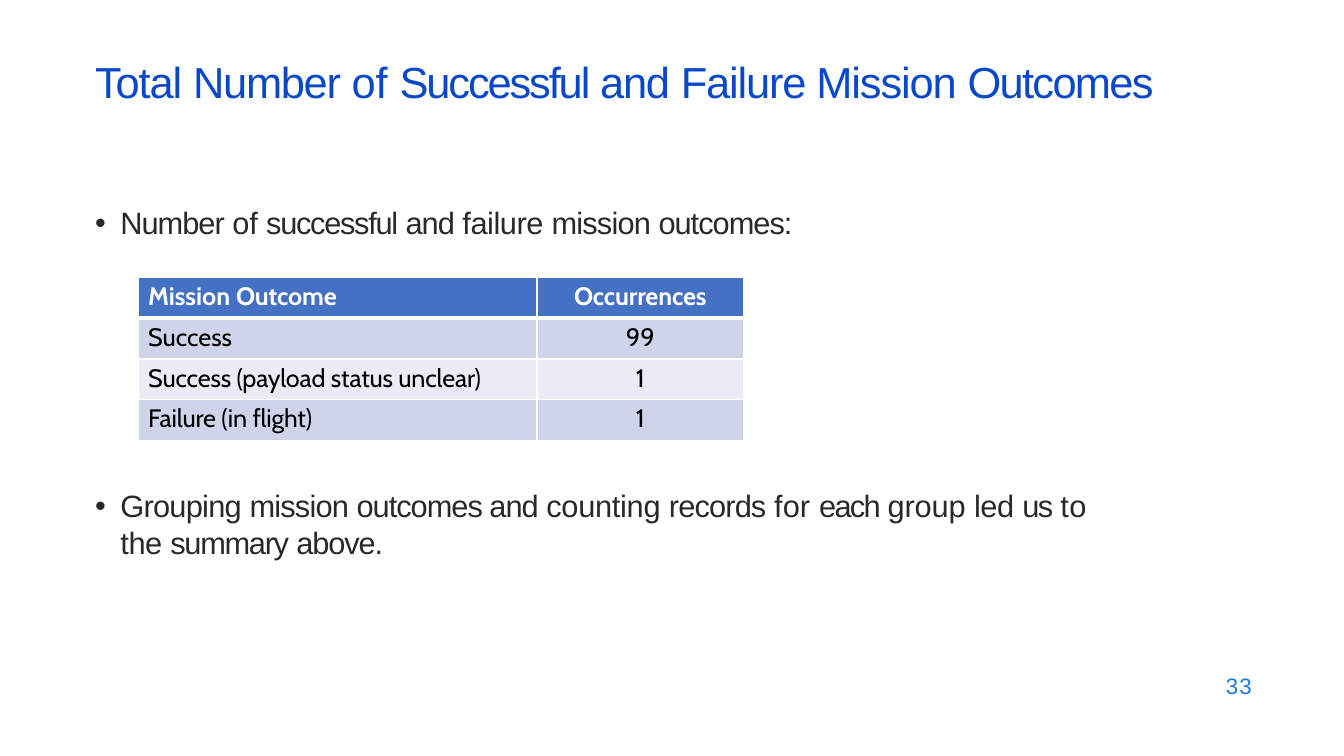
from lxml import etree
from pptx import Presentation
from pptx.dml.color import RGBColor
from pptx.enum.text import MSO_ANCHOR, MSO_AUTO_SIZE, PP_ALIGN
from pptx.oxml.ns import qn
from pptx.util import Pt

LEFT, CENTER = PP_ALIGN.LEFT, PP_ALIGN.CENTER
TOP = MSO_ANCHOR.TOP
GROW = MSO_AUTO_SIZE.SHAPE_TO_FIT_TEXT
TITLE_ONLY = 5

TITLE_BLUE = RGBColor(0x0A, 0x48, 0xCA)
NUMBER_BLUE = RGBColor(0x1C, 0x7C, 0xDB)
HEADER_BLUE = RGBColor(0x44, 0x71, 0xC4)
BAND_DARK = RGBColor(0xCF, 0xD4, 0xEA)
BAND_LIGHT = RGBColor(0xE9, 0xEB, 0xF5)
BODY_GREY = RGBColor(0x29, 0x29, 0x29)
BLACK = RGBColor(0, 0, 0)
WHITE = RGBColor(0xFF, 0xFF, 0xFF)

TITLE = [("Total ", -0.8), ("Number ", -0.9), ("of ", -0.1), ("Successful ", -1.5),
         ("and ", -0.9), ("Failure Mission ", -0.8), ("Outcomes", -1.2)]
INTRO = [("Number ", -0.7), ("of ", -0.1), ("successful ", -0.9), ("and ", -0.7),
         ("failure ", -0.3), ("mission ", -0.6), ("outcomes:", -0.7)]
EXPLANATION = [("Grouping ", -0.5), ("mission ", -0.6), ("outcomes and ", -0.7),
               ("counting ", -0.2), ("records ", -0.6), ("for ", 0.1), ("each ", -1.2),
               ("group ", -0.1), ("led ", -0.3), ("us ", -1.1), ("to ", 0.5),
               ("the ", -0.3), ("summary ", -0.9), ("above.", -0.8)]
OUTCOMES = [
    ([("Mission ", 0), ("Outcome", -0.1)], [("Occurrences", -0.1)]),
    ([("Success", 0)], [("99", 0.1)]),
    ([("Success (payload status unclear)", -0.1)], [("1", 0)]),
    ([("Failure (in flight)", -0.1)], [("1", 0)]),
]


class SlideBuilder:
    """Holds the text style and the current slide, and adds its elements."""

    def __init__(self, slide, font="Arial", table_font="Cabin"):
        self.slide = slide
        self.font = font
        self.table_font = table_font

    def add_runs(self, paragraph, runs, size, color, font=None, bold=False):
        for text, spacing in runs:
            run = paragraph.add_run()
            run.text = text
            run.font.size = Pt(size)
            run.font.name = font or self.font
            run.font.bold = bold
            run.font.color.rgb = color
            run._r.get_or_add_rPr().set("spc", str(round(spacing * 100)))

    def frame(self, shape, box, inset_top):
        shape.left, shape.top, shape.width, shape.height = map(Pt, box)
        frame = shape.text_frame
        frame.word_wrap = True
        frame.auto_size = GROW
        frame.vertical_anchor = TOP
        frame.margin_left = frame.margin_right = frame.margin_bottom = 0
        frame.margin_top = Pt(inset_top)
        paragraph = frame.paragraphs[0]
        paragraph.alignment = LEFT
        return paragraph

    def indent(self, paragraph, left, first=0):
        properties = paragraph._p.get_or_add_pPr()
        properties.set("marL", str(Pt(left)))
        properties.set("indent", str(Pt(first)))
        return properties

    def title(self, runs, box):
        paragraph = self.frame(self.slide.shapes.title, box, 1)
        self.indent(paragraph, 0.9)
        self.add_runs(paragraph, runs, 31, TITLE_BLUE)

    def bullet(self, runs, box):
        textbox = self.slide.shapes.add_textbox(0, 0, 0, 0)
        paragraph = self.frame(textbox, box, 1)
        properties = self.indent(paragraph, 19, -18)
        etree.SubElement(properties, qn("a:buFont"), typeface=self.font)
        etree.SubElement(properties, qn("a:buChar"), char="•")
        self.add_runs(paragraph, runs, 22, BODY_GREY)

    def page_number(self, number, box):
        textbox = self.slide.shapes.add_textbox(0, 0, 0, 0)
        paragraph = self.frame(textbox, box, 0)
        self.indent(paragraph, 3)
        paragraph.line_spacing = Pt(18.4)
        self.add_runs(paragraph, [(number, 0.8)], 16, NUMBER_BLUE)

    def borders(self, cell, widths):
        properties = cell._tc.get_or_add_tcPr()
        for side, width in widths.items():
            line = etree.SubElement(properties, qn(f"a:ln{side}"), w=str(Pt(width)))
            fill = etree.SubElement(line, qn("a:solidFill"))
            etree.SubElement(fill, qn("a:srgbClr"), val=str(WHITE))

    def table(self, rows, left, top, column_widths, row_height):
        table = self.slide.shapes.add_table(
            len(rows), len(column_widths), Pt(left), Pt(top),
            Pt(sum(column_widths)), Pt(row_height * len(rows))).table
        table.horz_banding = False
        for column, width in zip(table.columns, column_widths):
            column.width = Pt(width)
        for row_index, row in enumerate(rows):
            table.rows[row_index].height = Pt(row_height)
            header = row_index == 0
            band = BAND_DARK if row_index % 2 else BAND_LIGHT
            for column_index, runs in enumerate(row):
                cell = table.cell(row_index, column_index)
                self.borders(cell, {"L": 1, "R": 1, "T": 3 if row_index == 1 else 1,
                                    "B": 3 if header else 1})
                cell.fill.solid()
                cell.fill.fore_color.rgb = HEADER_BLUE if header else band
                cell.margin_left = cell.margin_right = cell.margin_bottom = 0
                cell.margin_top = Pt(2.7)
                paragraph = cell.text_frame.paragraphs[0]
                paragraph.alignment = CENTER if column_index else LEFT
                if column_index == 0:
                    self.indent(paragraph, 7.2)
                self.add_runs(paragraph, runs, 18, WHITE if header else BLACK,
                              self.table_font, header)


def main():
    presentation = Presentation()
    presentation.slide_width, presentation.slide_height = Pt(960), Pt(540)
    slide = presentation.slides.add_slide(presentation.slide_layouts[TITLE_ONLY])
    builder = SlideBuilder(slide)
    builder.title(TITLE, (67, 38.2, 770.4, 39.6))
    builder.bullet(INTRO, (67, 144.7, 504.7, 28))
    builder.table(OUTCOMES, 98.6, 198, (285, 147.6), 29.2)
    builder.bullet(EXPLANATION, (67, 347, 720.7, 54.7))
    builder.page_number("33", (872.6, 481, 25.2, 20.2))
    presentation.save("out.pptx")


if __name__ == "__main__":
    main()
